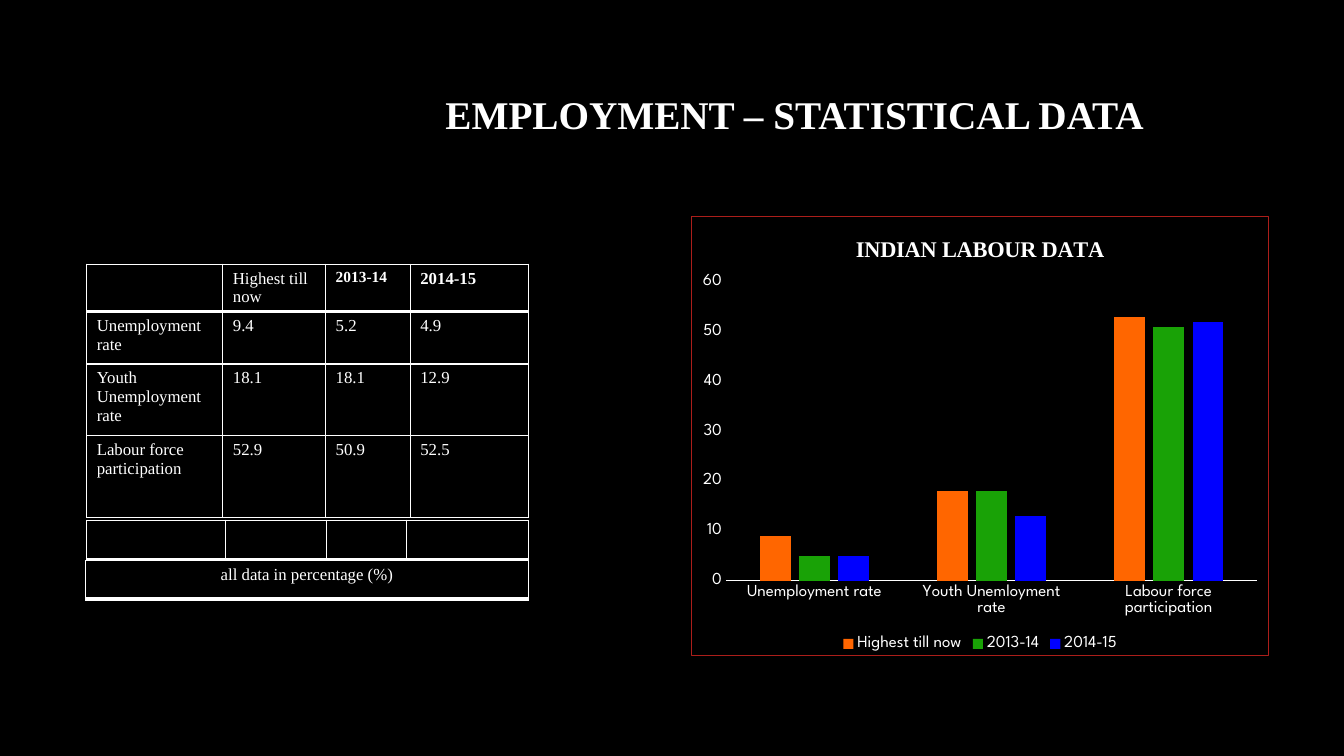
from dataclasses import dataclass

from lxml.etree import SubElement
from pptx import Presentation
from pptx.chart.data import CategoryChartData
from pptx.dml.color import RGBColor
from pptx.enum.chart import XL_CHART_TYPE, XL_LEGEND_POSITION, XL_TICK_MARK
from pptx.enum.text import MSO_ANCHOR, PP_ALIGN
from pptx.oxml import parse_xml
from pptx.oxml.ns import nsdecls, qn
from pptx.util import Inches, Pt


@dataclass(frozen=True)
class Theme:
    background: str = "000000"
    text: str = "FFFFFF"
    frame: str = "AC1E1A"
    series: tuple = ("FF6600", "19A206", "0000FF")
    serif: str = "Times New Roman"
    sans: str = "League Spartan"
    title: int = 28
    chart_title: int = 16
    body: int = 12
    small: int = 11
    thin: int = 1
    thick: int = 3


THEME = Theme()
PERIODS = ("Highest till now", "2013-14", "2014-15")
CATEGORIES = ("Unemployment rate", "Youth Unemloyment rate",
              "Labour force participation")
ROW_LABELS = ("Unemployment\nrate", "Youth Unemployment rate",
              "Labour force participation")
RATES = ((9.4, 5.2, 4.9), (18.1, 18.1, 12.9), (52.9, 50.9, 52.5))


def style_font(font, size, name, bold=False):
    font.size = Pt(size)
    font.name = name
    font.bold = bold
    font.color.rgb = RGBColor.from_string(THEME.text)


def set_borders(cell, top, bottom):
    """Draw all four cell edges; top and bottom are widths in points."""
    tcPr = cell._tc.get_or_add_tcPr()
    widths = {"L": THEME.thin, "R": THEME.thin, "T": top, "B": bottom}
    for i, (side, width) in enumerate(widths.items()):
        tcPr.insert(i, parse_xml(
            f'<a:ln{side} {nsdecls("a")} w="{Pt(width)}"><a:solidFill>'
            f'<a:srgbClr val="{THEME.text}"/></a:solidFill></a:ln{side}>'))


def add_title(slide, left, top, width, height):
    title = slide.shapes.title
    title.left, title.top = Inches(left), Inches(top)
    title.width, title.height = Inches(width), Inches(height)
    tf = title.text_frame
    tf.text = "EMPLOYMENT – STATISTICAL DATA"
    tf.vertical_anchor = MSO_ANCHOR.MIDDLE
    p = tf.paragraphs[0]
    p.alignment = PP_ALIGN.CENTER
    p.line_spacing = 0.9
    style_font(p.font, THEME.title, THEME.serif, bold=True)


def add_grid(slide, left, top, col_widths, row_heights, rows,
             align=PP_ALIGN.LEFT):
    """Add an outlined table whose first row ends in a thick rule."""
    table = slide.shapes.add_table(
        len(rows), len(col_widths), Inches(left), Inches(top),
        Inches(sum(col_widths)), Inches(sum(row_heights))).table
    table.first_row = table.horz_banding = False
    for column, width in zip(table.columns, col_widths):
        column.width = Inches(width)
    for i, (row, height) in enumerate(zip(table.rows, row_heights)):
        row.height = Inches(height)
        for cell, text in zip(row.cells, rows[i]):
            cell.text = text
            cell.fill.background()
            set_borders(cell, THEME.thick if i == 1 else THEME.thin,
                        THEME.thick if i == 0 else THEME.thin)
            for p in cell.text_frame.paragraphs:
                p.alignment = align
                style_font(p.font, THEME.body, THEME.serif)
    return table


def add_tables(slide, left, top):
    """Stack the data table, an empty strip and the unit note."""
    rows = [("", *PERIODS)]
    rows += [(label, *map(str, rates))
             for label, rates in zip(ROW_LABELS, RATES)]
    data = add_grid(slide, left, top, (1.35, 1.02, 0.84, 1.17),
                    (0.47, 0.52, 0.71, 0.81), rows)
    for column, size in ((2, THEME.small), (3, THEME.body)):
        p = data.cell(0, column).text_frame.paragraphs[0]
        style_font(p.font, size, THEME.serif, bold=True)
    add_grid(slide, left, top + 2.54, (1.38, 1, 0.79, 1.21), (0.39,),
             [("",) * 4])
    add_grid(slide, left - 0.01, top + 2.94, (4.39,), (0.38,),
             [("all data in percentage (%)",)], PP_ALIGN.CENTER)


def frame_chart(chart):
    """Outline the chart area and fix the inner plot position."""
    space = chart._chartSpace
    chart_element = space.find(qn("c:chart"))
    chart_element.addnext(parse_xml(
        f'<c:spPr {nsdecls("c", "a")}><a:noFill/><a:ln w="{Pt(0.75)}">'
        f'<a:solidFill><a:srgbClr val="{THEME.frame}"/></a:solidFill>'
        '</a:ln></c:spPr>'))
    plot_area = chart_element.find(qn("c:plotArea"))
    for old in plot_area.findall(qn("c:layout")):
        plot_area.remove(old)
    layout = parse_xml(f'<c:layout {nsdecls("c")}><c:manualLayout/></c:layout>')
    plot_area.insert(0, layout)
    settings = {"layoutTarget": "inner", "xMode": "edge", "yMode": "edge",
                "x": "0.06", "y": "0.15", "w": "0.92", "h": "0.68"}
    for name, value in settings.items():
        SubElement(layout[0], qn(f"c:{name}")).set("val", value)


def add_labour_chart(slide, left, top, width, height):
    data = CategoryChartData()
    data.categories = CATEGORIES
    for period, values in zip(PERIODS, zip(*RATES)):
        data.add_series(period, [round(value) for value in values])
    chart = slide.shapes.add_chart(
        XL_CHART_TYPE.COLUMN_CLUSTERED, Inches(left), Inches(top),
        Inches(width), Inches(height), data).chart
    style_font(chart.font, THEME.body, THEME.sans)

    chart.has_title = True
    tf = chart.chart_title.text_frame
    tf.text = "INDIAN LABOUR DATA"
    style_font(tf.paragraphs[0].font, THEME.chart_title, THEME.serif, bold=True)
    chart.chart_title.include_in_layout = False

    chart.has_legend = True
    chart.legend.position = XL_LEGEND_POSITION.BOTTOM
    chart.legend.include_in_layout = False
    style_font(chart.legend.font, THEME.body, THEME.sans)

    plot = chart.plots[0]
    plot.gap_width, plot.overlap = 219, -27
    plot.vary_by_categories = False
    for series, color in zip(plot.series, THEME.series):
        series.format.fill.solid()
        series.format.fill.fore_color.rgb = RGBColor.from_string(color)

    for axis in (chart.category_axis, chart.value_axis):
        axis.major_tick_mark = axis.minor_tick_mark = XL_TICK_MARK.NONE
        axis.has_major_gridlines = False
        style_font(axis.tick_labels.font, THEME.body, THEME.sans)
    line = chart.category_axis.format.line
    line.width = Pt(0.75)
    line.color.rgb = RGBColor.from_string(THEME.text)
    value_axis = chart.value_axis
    value_axis.format.line.fill.background()
    value_axis.minimum_scale, value_axis.maximum_scale = 0, 60
    value_axis.major_unit = 10
    value_axis.tick_labels.number_format = "0"
    value_axis.tick_labels.number_format_is_linked = False
    frame_chart(chart)


def main():
    prs = Presentation()
    prs.slide_width, prs.slide_height = Inches(13.33), Inches(7.5)
    slide = prs.slides.add_slide(prs.slide_layouts.get_by_name("Title Only"))
    fill = slide.background.fill
    fill.solid()
    fill.fore_color.rgb = RGBColor.from_string(THEME.background)
    add_title(slide, 3.17, 0.84, 9.42, 0.64)
    add_labour_chart(slide, 6.85, 2.14, 5.74, 4.37)
    add_tables(slide, 0.86, 2.62)
    prs.save("out.pptx")


if __name__ == "__main__":
    main()
